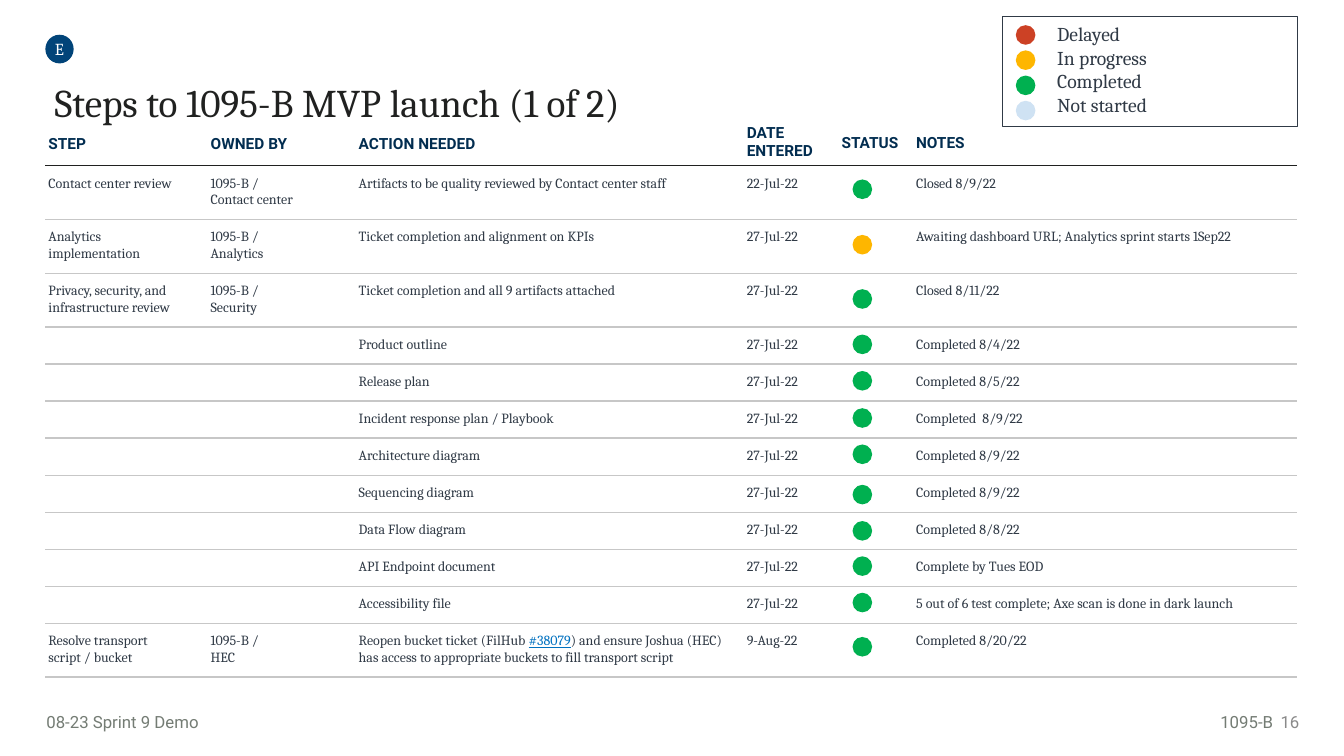
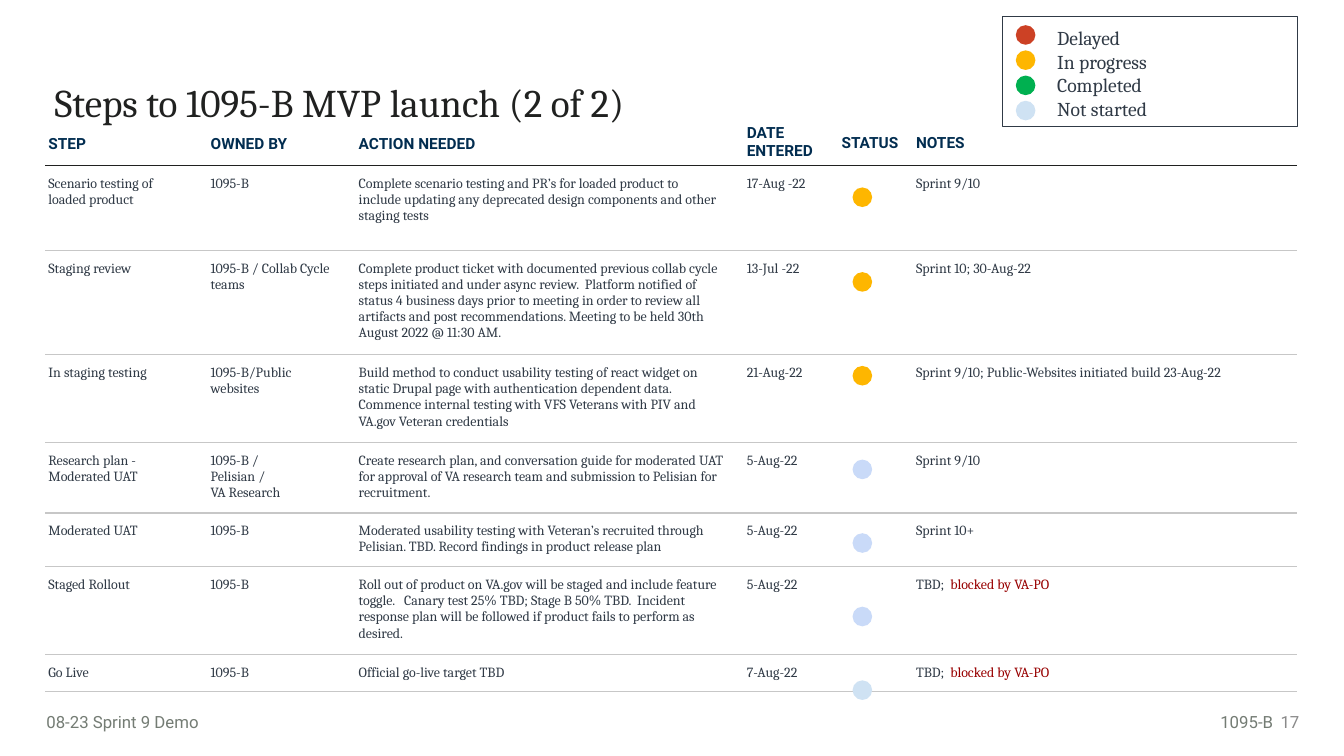
from lxml.etree import SubElement
from pptx import Presentation
from pptx.dml.color import RGBColor
from pptx.enum.shapes import MSO_SHAPE
from pptx.enum.text import MSO_ANCHOR, PP_ALIGN
from pptx.oxml.ns import qn
from pptx.util import Pt

# Colours
INK = RGBColor(0x20, 0x21, 0x20)
SLATE = RGBColor(0x30, 0x3A, 0x46)
NAVY = RGBColor(0x02, 0x2D, 0x50)
BADGE = RGBColor(0x01, 0x44, 0x79)
WHITE = RGBColor(0xFF, 0xFF, 0xFF)
RULE = RGBColor(0xC7, 0xC7, 0xC7)
FOOT = RGBColor(0x74, 0x7C, 0x74)
GREY = RGBColor(0x8A, 0x8A, 0x8A)
LINK = RGBColor(0x00, 0x71, 0xC0)
ALERT = RGBColor(0x98, 0x00, 0x00)
RED = RGBColor(0xCC, 0x41, 0x25)
AMBER = RGBColor(0xFE, 0xB6, 0x00)
GREEN = RGBColor(0x00, 0xB0, 0x50)
PALE = RGBColor(0xCF, 0xE2, 0xF3)
ICE = RGBColor(0xC9, 0xDA, 0xF8)

SERIF, SANS = "Cambria", "Roboto"
NO_STYLE = "{2D5ABB26-0587-4C30-8999-92F81FD0307C}"
DOT = 14

# Table layout
WIDTHS = [115.9, 105.8, 277.2, 67.7, 48.2, 279.4]
HEADS = ["STEP", "OWNED BY", "ACTION NEEDED", "DATE\nENTERED", "STATUS", "NOTES"]
LEFTS = [2.2] * 5 + [7.2]
RIGHTS = [14.4] * 3 + [2.2] * 3
HEAD_H, PAD_H, LINE_H = 31.8, 14.4, 11.6

# Phrases set apart by colour, and whether they are underlined
MARKS = {"#38079": (LINK, True), " blocked by VA-PO": (ALERT, False)}

LEGEND = [("Delayed", RED), ("In progress", AMBER),
          ("Completed", GREEN), ("Not started", PALE)]

# Rows: text lines, step, owner, action, date, notes, status colour, dot top
FIRST = [
    (2, "Contact center review", "1095-B /\nContact center",
     "Artifacts to be quality reviewed by Contact center staff",
     "22-Jul-22", "Closed 8/9/22", GREEN, 128.2),
    (2, "Analytics implementation", "1095-B /\nAnalytics",
     "Ticket completion and alignment on KPIs", "27-Jul-22",
     "Awaiting dashboard URL; Analytics sprint starts 1Sep22", AMBER, 167.8),
    (2, "Privacy, security, and infrastructure review", "1095-B /\nSecurity",
     "Ticket completion and all 9 artifacts attached",
     "27-Jul-22", "Closed 8/11/22", GREEN, 206.6),
    (1, "", "", "Product outline", "27-Jul-22", "Completed 8/4/22", GREEN, 239),
    (1, "", "", "Release plan", "27-Jul-22", "Completed 8/5/22", GREEN, 265),
    (1, "", "", "Incident response plan / Playbook",
     "27-Jul-22", "Completed  8/9/22", GREEN, 291.6),
    (1, "", "", "Architecture diagram", "27-Jul-22", "Completed 8/9/22", GREEN, 317.5),
    (1, "", "", "Sequencing diagram", "27-Jul-22", "Completed 8/9/22", GREEN, 346.3),
    (1, "", "", "Data Flow diagram", "27-Jul-22", "Completed 8/8/22", GREEN, 372.2),
    (1, "", "", "API Endpoint document", "27-Jul-22", "Complete by Tues EOD", GREEN, 397.4),
    (1, "", "", "Accessibility file", "27-Jul-22",
     "5 out of 6 test complete; Axe scan is done in dark launch", GREEN, 423.4),
    (2, "Resolve transport script / bucket", "1095-B /\nHEC",
     "Reopen bucket ticket (FilHub #38079) and ensure Joshua (HEC) has access "
     "to appropriate buckets to fill transport script",
     "9-Aug-22", "Completed 8/20/22", GREEN, 455),
]
SECOND = [
    (4, "Scenario testing of loaded product", "1095-B",
     "Complete scenario testing and PR’s for loaded product to include updating "
     "any deprecated design components and other staging tests",
     "17-Aug -22", "Sprint 9/10", AMBER, 133.9),
    (5, "Staging review", "1095-B / Collab Cycle teams",
     "Complete product ticket with documented previous collab cycle steps "
     "initiated and under async review.  Platform notified of status 4 business "
     "days prior to meeting in order to review all artifacts and post "
     "recommendations. Meeting to be held 30th August 2022 @ 11:30 AM.",
     "13-Jul -22", "Sprint 10; 30-Aug-22", AMBER, 194.4),
    (4, "In staging testing", "1095-B/Public websites",
     "Build method to conduct usability testing of react widget on static Drupal "
     "page with authentication dependent data. Commence internal testing with "
     "VFS Veterans with PIV and VA.gov Veteran credentials",
     "21-Aug-22", "Sprint 9/10; Public-Websites initiated build 23-Aug-22",
     AMBER, 261.4),
    (3, "Research plan - Moderated UAT", "1095-B /\nPelisian /\nVA Research",
     "Create research plan, and conversation guide for moderated UAT for approval "
     "of VA research team and submission to Pelisian for recruitment.",
     "5-Aug-22", "Sprint 9/10", ICE, 328.3),
    (2, "Moderated UAT", "1095-B",
     "Moderated usability testing with Veteran’s recruited through Pelisian. TBD. "
     "Record findings in product release plan",
     "5-Aug-22", "Sprint 10+", ICE, 380.9),
    (4, "Staged Rollout", "1095-B",
     "Roll out of product on VA.gov will be staged and include feature toggle.   "
     "Canary test 25% TBD; Stage B 50% TBD.  Incident response plan will be "
     "followed if product fails to perform as desired.",
     "5-Aug-22", "TBD;  blocked by VA-PO", ICE, 433.4),
    (1, "Go Live", "1095-B", "Official go-live target TBD",
     "7-Aug-22", "TBD;  blocked by VA-PO", PALE, 486),
]


def style(frame, size, face, color, bold=False, align=None, space=None):
    """Format every run in a text frame."""
    for para in frame.paragraphs:
        if align is not None:
            para.alignment = align
        if space:
            para.line_spacing = space
        for run in para.runs:
            font = run.font
            font.size, font.name, font.bold = Pt(size), face, bold
            font.color.rgb = color


def inset(box, left, top, right, bottom):
    box.margin_left, box.margin_top = Pt(left), Pt(top)
    box.margin_right, box.margin_bottom = Pt(right), Pt(bottom)


def label(slide, text, spot, size, face, color, pads=(7.2, 3.6, 7.2, 3.6), **look):
    frame = slide.shapes.add_textbox(*map(Pt, spot)).text_frame
    frame.word_wrap = True
    inset(frame, *pads)
    frame.text = text
    style(frame, size, face, color, **look)


def shape(slide, kind, spot, fill=None, line=None):
    item = slide.shapes.add_shape(kind, *map(Pt, spot))
    item.shadow.inherit = False
    if fill is None:
        item.fill.background()
    else:
        item.fill.solid()
        item.fill.fore_color.rgb = fill
    if line is None:
        item.line.fill.background()
    else:
        item.line.color.rgb = line
        item.line.width = Pt(0.75)
    return item


def dot(slide, left, top, color):
    shape(slide, MSO_SHAPE.OVAL, (left, top, DOT, DOT), color)


def border(cell, **sides):
    """Draw one-point rules on the named sides, then clear the fill."""
    props = cell._tc.get_or_add_tcPr()
    for side, color in sides.items():
        line = SubElement(props, qn("a:" + side), w=str(Pt(1)))
        solid = SubElement(line, qn("a:solidFill"))
        SubElement(solid, qn("a:srgbClr"), val=str(color))
    cell.fill.background()


def mark(frame):
    """Split a marked phrase into its own coloured run."""
    para = frame.paragraphs[0]
    for phrase, (color, under) in MARKS.items():
        head, found, tail = para.text.partition(phrase)
        if found:
            para.text = head
            para.add_run().text = found
            if tail:
                para.add_run().text = tail
            style(frame, 10, SERIF, SLATE)
            para.runs[1].font.color.rgb = color
            para.runs[1].font.underline = under


def grid(slide, rows):
    heights = [HEAD_H] + [PAD_H + LINE_H * row[0] for row in rows]
    spot = map(Pt, (32.4, 86.4, sum(WIDTHS), sum(heights)))
    table = slide.shapes.add_table(len(heights), len(WIDTHS), *spot).table
    table._tbl.tblPr.find(qn("a:tableStyleId")).text = NO_STYLE
    for col, width in zip(table.columns, WIDTHS):
        col.width = Pt(width)
    for row, height in zip(table.rows, heights):
        row.height = Pt(height)

    # Header
    for i, head in enumerate(HEADS):
        cell = table.cell(0, i)
        inset(cell, LEFTS[i], 2.2, 2.2, 2.2)
        if "\n" not in head:
            cell.vertical_anchor = MSO_ANCHOR.MIDDLE
        cell.text_frame.text = head
        style(cell.text_frame, 11, SANS, NAVY, True, space=1.15 if i < 3 else None)
        border(cell, lnB=INK)

    # Body, with an empty status column under the dots
    for j, (_, step, owner, action, date, note, color, top) in enumerate(rows, 1):
        for i, text in enumerate([step, owner, action, date, "", note]):
            cell = table.cell(j, i)
            pad = 7.2 if text else 0
            inset(cell, LEFTS[i], pad, RIGHTS[i], pad)
            if text:
                cell.text_frame.text = text
                style(cell.text_frame, 10, SERIF, SLATE)
                mark(cell.text_frame)
            border(cell, lnT=INK if j == 1 else RULE, lnB=RULE)
        dot(slide, 609, top, color)


def legend(slide, top):
    shape(slide, MSO_SHAPE.RECTANGLE, (716.4, 11.5, 210.2, 79.2), line=SLATE)
    for i, (_, color) in enumerate(LEGEND):
        dot(slide, 725.6, 18 + 18 * i, color)
    names = "\n".join(name for name, _ in LEGEND)
    label(slide, names, (748, top, 178.6, 82), 14, SERIF, SLATE, (7.2,) * 4)


def footer(slide, page):
    label(slide, "08-23 Sprint 9 Demo", (33.1, 504.7, 214.6, 21.6), 12, SANS, FOOT,
          (0, 3.6, 7.2, 3.6))
    label(slide, "1095-B", (798.5, 504.7, 118, 21.6), 12, SANS, FOOT,
          align=PP_ALIGN.RIGHT)
    label(slide, str(page), (903.6, 504.7, 31.7, 21.6), 12, SANS, GREY,
          align=PP_ALIGN.RIGHT)


def badge(slide, text):
    item = shape(slide, MSO_SHAPE.OVAL, (32.4, 24.8, 20.2, 20.5), BADGE)
    frame = item.text_frame
    inset(frame, 0, 0, 0, 0)
    frame.vertical_anchor = MSO_ANCHOR.MIDDLE
    frame.text = text
    style(frame, 12, SERIF, WHITE, align=PP_ALIGN.CENTER)


def page(deck, title, rows, number, top):
    slide = deck.slides.add_slide(deck.slide_layouts[6])
    label(slide, title, (32, 56.2, 634, 104.4), 28, SERIF, INK, space=0.9)
    grid(slide, rows)
    legend(slide, top)
    footer(slide, number)
    return slide


def main():
    deck = Presentation()
    deck.slide_width, deck.slide_height = Pt(960), Pt(540)
    first = page(deck, "Steps to 1095-B MVP launch (1 of 2)", FIRST, 16, 8.6)
    badge(first, "E")
    page(deck, "Steps to 1095-B MVP launch (2 of 2)", SECOND, 17, 11.5)
    deck.save("out.pptx")


if __name__ == "__main__":
    main()
